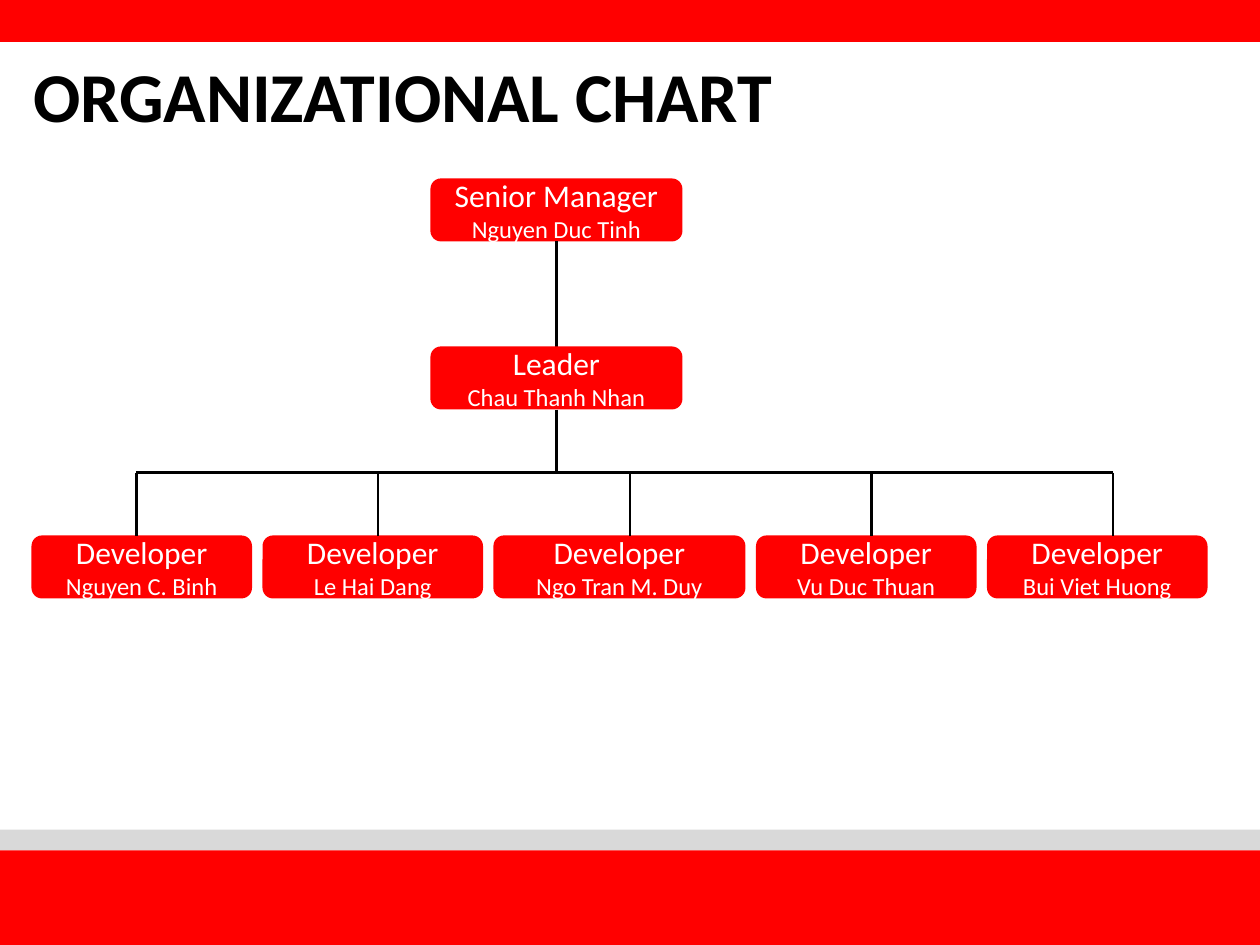
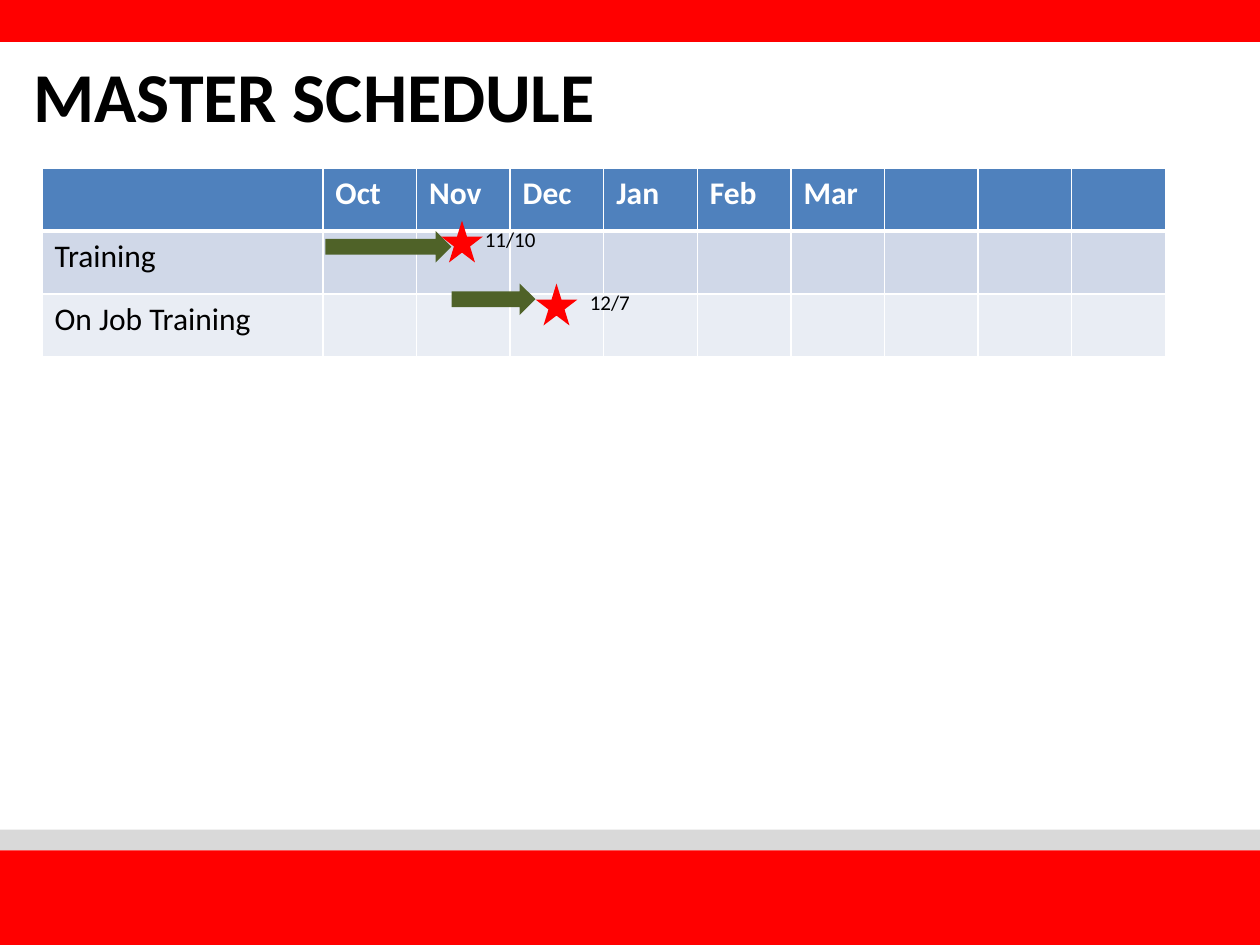
from lxml.etree import SubElement
from pptx import Presentation
from pptx.dml.color import RGBColor
from pptx.enum.shapes import MSO_CONNECTOR, MSO_SHAPE
from pptx.enum.text import MSO_ANCHOR, PP_ALIGN
from pptx.oxml.ns import qn
from pptx.util import Inches, Pt

# Content; all lengths count grid units of a twelfth of an inch
COLORS = {
    "red": "FF0000", "grey": "D9D9D9", "black": "000000", "white": "FFFFFF",
    "green": "4F6228", "header": "4F81BD", "odd row": "D0D8E8", "even row": "E9EDF4",
}
FONT = "Calibri"
SLIDE_COLUMNS, SLIDE_ROWS = 120, 90
BANDS = [(0, 4, "red"), (79, 2, "grey"), (81, 9.6, "red")]  # top, height, colour

CHART_TITLE = "ORGANIZATIONAL CHART"
MANAGERS = [("Senior Manager", "Nguyen Duc Tinh", 17), ("Leader", "Chau Thanh Nhan", 33)]
MANAGER_LEFT, MANAGER_WIDTH = 41, 24
DEVELOPERS = [  # name, box width, column of the line above
    ("Nguyen C. Binh", 21, 13), ("Le Hai Dang", 21, 36), ("Ngo Tran M. Duy", 24, 60),
    ("Vu Duc Thuan", 21, 83), ("Bui Viet Huong", 21, 106),
]
DEVELOPER_LEFT, DEVELOPER_TOP, DEVELOPER_GAP = 3, 51, 1
BOX_HEIGHT, BRANCH_ROW = 6, 45

SCHEDULE_TITLE = "MASTER SCHEDULE"
MONTHS = ["Oct", "Nov", "Dec", "Jan", "Feb", "Mar", "", "", ""]
TASKS = ["Training", "On Job Training"]
SCHEDULE_BOX = (4, 16, 107, 18)
LABEL_SHARE = 3  # the label column is as wide as three months
ARROWS = [(31, 22, 12), (43, 27, 8)]  # left, top, length
MILESTONES = [("11/10", 42, 21, 45), ("12/7", 51, 27, 55)]  # date, star left, top, date left


def units(count):
    return Inches(count / 12)


def color(name):
    return RGBColor.from_string(COLORS[name])


def write(paragraph, text, size, ink, bold=False):
    run = paragraph.add_run()
    run.text = text
    run.font.name, run.font.size, run.font.bold = FONT, Pt(size), bold
    run.font.color.rgb = color(ink)


def add_block(slide, kind, box, fill):
    block = slide.shapes.add_shape(kind, *map(units, box))
    block.shadow.inherit = False
    block.fill.solid()
    block.fill.fore_color.rgb = color(fill)
    block.line.fill.background()
    return block


def add_label(slide, box, text, size, bold=False, anchor=MSO_ANCHOR.TOP):
    frame = slide.shapes.add_textbox(*map(units, box)).text_frame
    frame.word_wrap = True
    frame.vertical_anchor = anchor
    write(frame.paragraphs[0], text, size, "black", bold)


def add_person(slide, box, role, name):
    frame = add_block(slide, MSO_SHAPE.ROUNDED_RECTANGLE, box, "red").text_frame
    frame.word_wrap = True
    frame.vertical_anchor = MSO_ANCHOR.MIDDLE
    for paragraph, text, size in ((frame.paragraphs[0], role, 18), (frame.add_paragraph(), name, 14)):
        paragraph.alignment = PP_ALIGN.CENTER
        write(paragraph, text, size, "white")


def add_line(slide, *ends):
    line = slide.shapes.add_connector(MSO_CONNECTOR.STRAIGHT, *map(units, ends))
    line.line.color.rgb = color("black")
    line.line.width = Pt(1.5)
    SubElement(line._element.spPr, qn("a:effectLst"))


def style_cell(cell, fill, top, bottom):
    properties = cell._tc.get_or_add_tcPr()
    for side, points in (("L", 1), ("R", 1), ("T", top), ("B", bottom)):
        border = SubElement(properties, qn(f"a:ln{side}"), w=str(Pt(points)))
        SubElement(SubElement(border, qn("a:solidFill")), qn("a:srgbClr"), val=COLORS["white"])
    cell.fill.solid()
    cell.fill.fore_color.rgb = color(fill)


def add_page(deck, title):
    slide = deck.slides.add_slide(deck.slide_layouts[6])
    add_label(slide, (2, 4, 102, 10), title, 40, True, MSO_ANCHOR.MIDDLE)
    for top, height, fill in BANDS:
        add_block(slide, MSO_SHAPE.RECTANGLE, (0, top, SLIDE_COLUMNS, height), fill)
    return slide


def build_chart(deck):
    slide = add_page(deck, CHART_TITLE)
    # Managers, each with the line down to the next level
    center = MANAGER_LEFT + MANAGER_WIDTH / 2
    next_rows = [MANAGERS[1][2], BRANCH_ROW]
    for (role, name, top), next_row in zip(MANAGERS, next_rows):
        add_person(slide, (MANAGER_LEFT, top, MANAGER_WIDTH, BOX_HEIGHT), role, name)
        add_line(slide, center, top + BOX_HEIGHT, center, next_row)
    # Developers side by side under one branch
    add_line(slide, DEVELOPERS[0][2], BRANCH_ROW, DEVELOPERS[-1][2], BRANCH_ROW)
    left = DEVELOPER_LEFT
    for name, width, drop in DEVELOPERS:
        add_person(slide, (left, DEVELOPER_TOP, width, BOX_HEIGHT), "Developer", name)
        add_line(slide, drop, BRANCH_ROW, drop, DEVELOPER_TOP)
        left += width + DEVELOPER_GAP


def build_schedule(deck):
    slide = add_page(deck, SCHEDULE_TITLE)
    # Month grid
    rows = [["", *MONTHS]] + [[task] + [""] * len(MONTHS) for task in TASKS]
    schedule = slide.shapes.add_table(len(rows), len(rows[0]), *map(units, SCHEDULE_BOX)).table
    month_width = SCHEDULE_BOX[2] / (LABEL_SHARE + len(MONTHS))
    for index, column in enumerate(schedule.columns):
        column.width = units(month_width * (1 if index else LABEL_SHARE))
    fills = ["header", "odd row", "even row"]
    for r, (texts, fill) in enumerate(zip(rows, fills)):
        for c, text in enumerate(texts):
            cell = schedule.cell(r, c)
            style_cell(cell, fill, 3 if r == 1 else 1, 3 if r == 0 else 1)
            if text:
                write(cell.text_frame.paragraphs[0], text, 18, "black" if r else "white", r == 0)
    # Task spans and milestones
    for left, top, length in ARROWS:
        add_block(slide, MSO_SHAPE.RIGHT_ARROW, (left, top, length, 3), "green")
    for date, left, top, date_left in MILESTONES:
        add_block(slide, MSO_SHAPE.STAR_5_POINT, (left, top, 4, 4), "red")
        add_label(slide, (date_left, top, 11, 3.6), date, 12)


def main():
    deck = Presentation()
    deck.slide_width, deck.slide_height = units(SLIDE_COLUMNS), units(SLIDE_ROWS)
    build_chart(deck)
    build_schedule(deck)
    deck.save("out.pptx")


if __name__ == "__main__":
    main()
